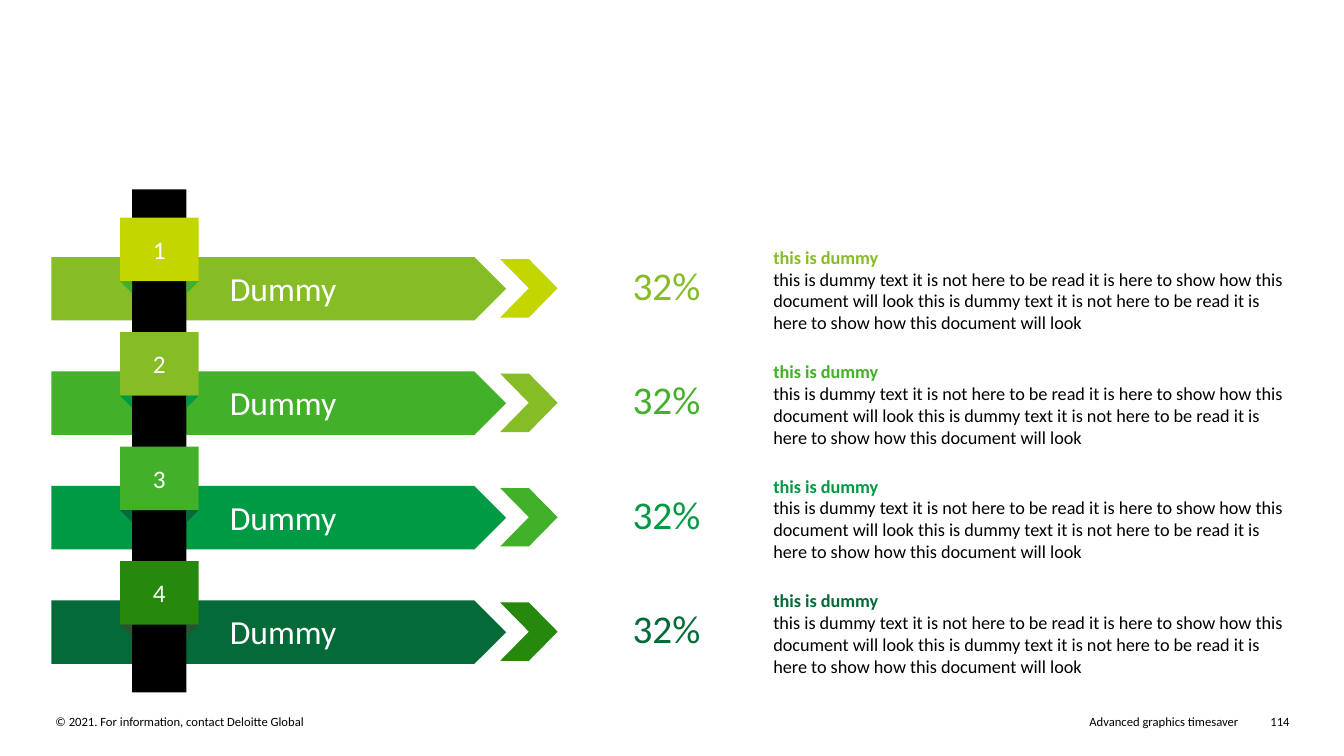
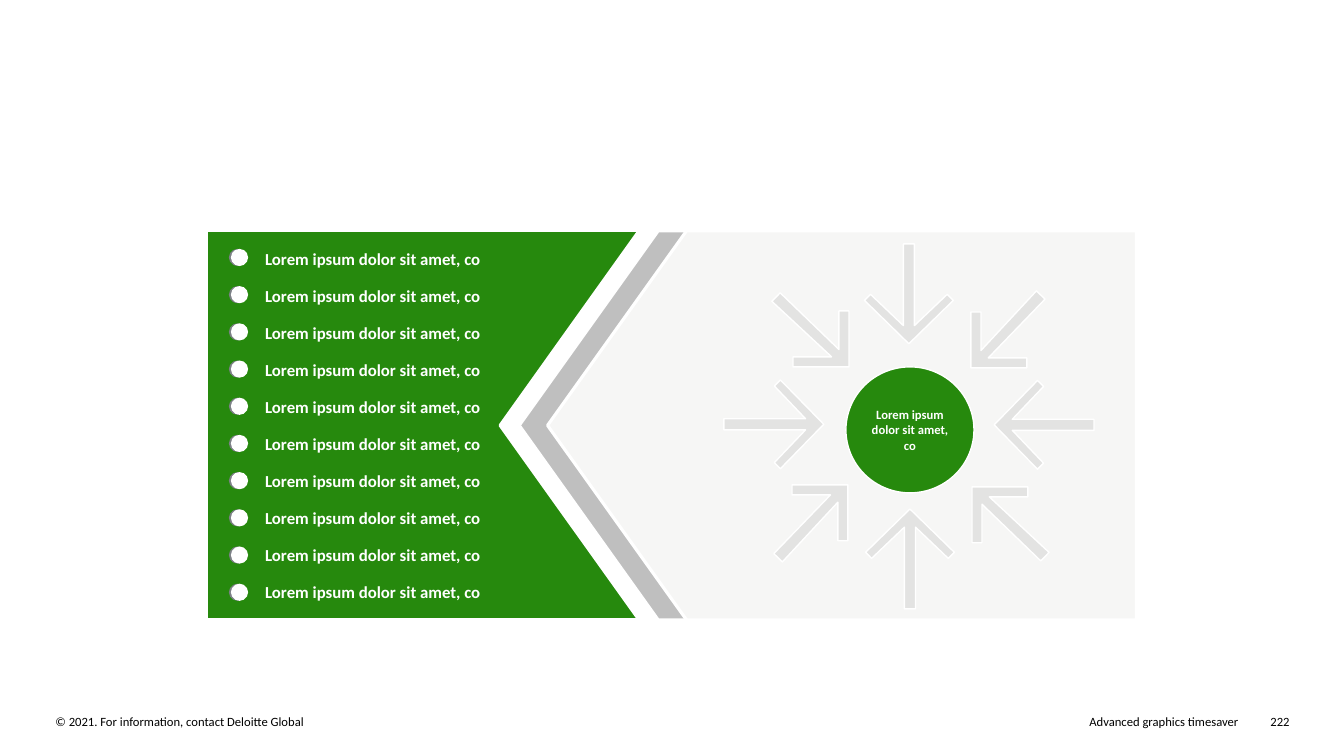
from dataclasses import dataclass

from pptx import Presentation
from pptx.dml.color import RGBColor
from pptx.enum.shapes import MSO_SHAPE
from pptx.enum.text import MSO_ANCHOR, MSO_AUTO_SIZE, PP_ALIGN
from pptx.util import Inches, Pt

RECTANGLE, OVAL = MSO_SHAPE.RECTANGLE, MSO_SHAPE.OVAL
PENTAGON, CHEVRON = MSO_SHAPE.PENTAGON, MSO_SHAPE.CHEVRON
TRIANGLE = MSO_SHAPE.RIGHT_TRIANGLE
LEFT, CENTER, RIGHT = PP_ALIGN.LEFT, PP_ALIGN.CENTER, PP_ALIGN.RIGHT
TOP, MIDDLE = MSO_ANCHOR.TOP, MSO_ANCHOR.MIDDLE
FIXED = MSO_AUTO_SIZE.NONE


@dataclass(frozen=True)
class Theme:
    font: str = "Calibri"
    black: str = "000000"
    white: str = "FFFFFF"
    lime: str = "C4D600"
    apple: str = "86BC25"
    grass: str = "43B02A"
    emerald: str = "009A44"
    leaf: str = "26890D"
    forest: str = "046A38"
    pine: str = "2C5234"
    slate: str = "7C8086"
    silver: str = "BFBFBF"
    mist: str = "F6F6F5"
    ash: str = "E3E3E2"
    small: int = 9
    list_size: int = 12
    detail: int = 13
    number: int = 18
    label: int = 24
    figure: int = 28


theme = Theme()
deck = Presentation()
deck.slide_width, deck.slide_height = Inches(13.33), Inches(7.5)
COLUMN, ROW = deck.slide_width / 100, deck.slide_height / 100


def draw(slide, kind, x, y, w, h, fill=None, line=None, weight=1, turn=0):
    box = [round(n) for n in (x * COLUMN, y * ROW, w * COLUMN, h * ROW)]
    if kind is None:
        return slide.shapes.add_textbox(*box)
    shape = slide.shapes.add_shape(kind, *box)
    shape.shadow.inherit = False
    shape.rotation = turn
    shape.fill.solid()
    shape.fill.fore_color.rgb = RGBColor.from_string(fill)
    if line:
        shape.line.color.rgb = RGBColor.from_string(line)
        shape.line.width = Pt(weight)
    else:
        shape.line.fill.background()
    return shape


def write(holder, text, size, color=theme.black, bold=False, align=LEFT,
          anchor=TOP, inset=0, before=0, after=0):
    frame = holder.text_frame
    frame.word_wrap, frame.auto_size = True, FIXED
    frame.vertical_anchor = anchor
    frame.margin_left = frame.margin_right = Inches(inset)
    frame.margin_top = frame.margin_bottom = Inches(inset)
    paragraph = frame.add_paragraph() if frame.text else frame.paragraphs[0]
    paragraph.alignment = align
    paragraph.space_before, paragraph.space_after = Pt(before), Pt(after)
    run = paragraph.add_run()
    run.text = text
    run.font.name, run.font.size, run.font.bold = theme.font, Pt(size), bold
    run.font.color.rgb = RGBColor.from_string(color)
    return paragraph


ribbons = deck.slides.add_slide(deck.slide_layouts[6])
focus = deck.slides.add_slide(deck.slide_layouts[1])

for slide, page in ((ribbons, "114"), (focus, "222")):
    for text, x, w, align in (
        ("© 2021. For information, contact Deloitte Global", 4.13, 43.96, LEFT),
        ("Advanced graphics timesaver", 51.99, 40.14, RIGHT),
        (page, 93.4, 2.55, RIGHT),
    ):
        write(draw(slide, None, x, 94.4, w, 2), text, theme.small, align=align)

FIRST_RIBBON, RIBBON_PITCH, RIBBON_HEIGHT = 34, 15.14, 8.4
TAG_LEFT, TAG_WIDTH, FOLD_WIDTH = 8.93, 5.85, 0.9
DETAIL = ("this is dummy text it is not here to be read it is here to show how this "
          "document will look this is dummy text it is not here to be read it is "
          "here to show how this document will look")
tones = (
    (theme.apple, theme.lime, theme.grass),
    (theme.grass, theme.apple, theme.emerald),
    (theme.emerald, theme.grass, theme.forest),
    (theme.forest, theme.leaf, theme.pine),
)
rows = [(FIRST_RIBBON + i * RIBBON_PITCH, *tone) for i, tone in enumerate(tones)]

for y, main, accent, fold in rows:
    draw(ribbons, PENTAGON, 3.83, y, 33.83, RIBBON_HEIGHT, main)
    draw(ribbons, CHEVRON, 37.21, y + 0.27, 4.28, 7.73, accent)

draw(ribbons, RECTANGLE, 9.83, 25.07, 4.05, 66.53, theme.black)

for number, (y, main, accent, fold) in enumerate(rows, 1):
    tag = draw(ribbons, RECTANGLE, TAG_LEFT, y - 5.2, TAG_WIDTH, RIBBON_HEIGHT, accent)
    write(tag, str(number), theme.number, theme.white, align=CENTER,
          anchor=MIDDLE, inset=0.1)
    for x, turn in ((TAG_LEFT + TAG_WIDTH - FOLD_WIDTH, 90), (TAG_LEFT, 180)):
        draw(ribbons, TRIANGLE, x, y + 3.2, FOLD_WIDTH, 1.6, fold, turn=turn)
    write(draw(ribbons, None, 17.1, y + 1.4, 16.2, 5.33), "Dummy",
          theme.label, theme.white)
    write(draw(ribbons, None, 42.54, y + 0.53, 14.1, 6.27), "32%",
          theme.figure, main, align=CENTER, anchor=MIDDLE)
    detail = draw(ribbons, None, 57.54, y - 1.47, 38.34, 11.73)
    write(detail, "this is dummy", theme.detail, main, bold=True)
    write(detail, DETAIL, theme.detail)

LOREM = "Lorem ipsum dolor sit amet, co"
PANEL_TOP, PANEL_HEIGHT, POINTS = 30.53, 51.47, 10

title = focus.shapes.title.element
title.getparent().remove(title)
panel = focus.placeholders[1]
panel.left, panel.top = round(15.38 * COLUMN), round(PANEL_TOP * ROW)
panel.width, panel.height = round(32.93 * COLUMN), round(PANEL_HEIGHT * ROW)
panel.fill.solid()
panel.fill.fore_color.rgb = RGBColor.from_string(theme.leaf)
panel.line.color.rgb = RGBColor.from_string(theme.white)
panel.line.width = Pt(2.25)
for i in range(POINTS):
    point = write(panel, LOREM, theme.list_size, theme.white, bold=True,
                  anchor=MIDDLE, inset=0.06, before=9 if i else 0, after=3)
    indents = point._p.get_or_add_pPr()
    indents.set("marL", str(Inches(0.52)))
    indents.set("indent", str(Inches(-0.23)))

for x, w, tone in ((37.21, 47.34, theme.white), (38.63, 43.81, theme.silver),
                   (40.74, 43.81, theme.mist)):
    wedge = draw(focus, PENTAGON, x, PANEL_TOP, w, PANEL_HEIGHT, tone,
                 line=theme.white, weight=2.25, turn=180)
    wedge.adjustments[0] = 0.357

straight_half = [(0.73, -13.2), (0.73, -2.4), (5.07, -6.53), (5.87, -5.73)]
straight = straight_half + [(0, 0)] + [(-x, y) for x, y in reversed(straight_half)]
diagonal = [(0, 0), (0, -7.4), (-1.33, -7.4), (-1.33, -2.3), (-9.1, -9.8),
            (-10.2, -8.67), (-2.3, -1.33), (-7.4, -1.33), (-7.4, 0)]
arrows = (
    (straight, ((67.63, 45.47), (73.97, 56.2), (67.71, 67.33), (61.29, 56.13))),
    (diagonal, ((63.17, 48.53), (72.24, 48.67), (72.32, 64.4), (63.09, 64.13))),
)
for outline, tips in arrows:
    for tip_x, tip_y in tips:
        corners = [(round(tip_x * COLUMN + x * ROW), round((tip_y + y) * ROW))
                   for x, y in outline]
        builder = focus.shapes.build_freeform(*corners[0])
        builder.add_line_segments(corners[1:], close=True)
        arrow = builder.convert_to_shape()
        arrow.shadow.inherit = False
        arrow.fill.solid()
        arrow.fill.fore_color.rgb = RGBColor.from_string(theme.ash)
        arrow.line.color.rgb = RGBColor.from_string(theme.white)
        arrow.line.width = Pt(1)
        outline = [(-y, x) for x, y in outline]

hub = draw(focus, OVAL, 62.94, 48.53, 9.53, 16.67, theme.leaf, line=theme.white)
write(hub, LOREM, theme.small, theme.white, bold=True, align=CENTER,
      anchor=MIDDLE, inset=0.07)

for i in range(POINTS):
    for x, tone in ((17.03, theme.slate), (17.18, theme.white)):
        draw(focus, OVAL, x, 32.93 + i * 4.92, 1.28, 2.27, tone)

deck.save("out.pptx")
